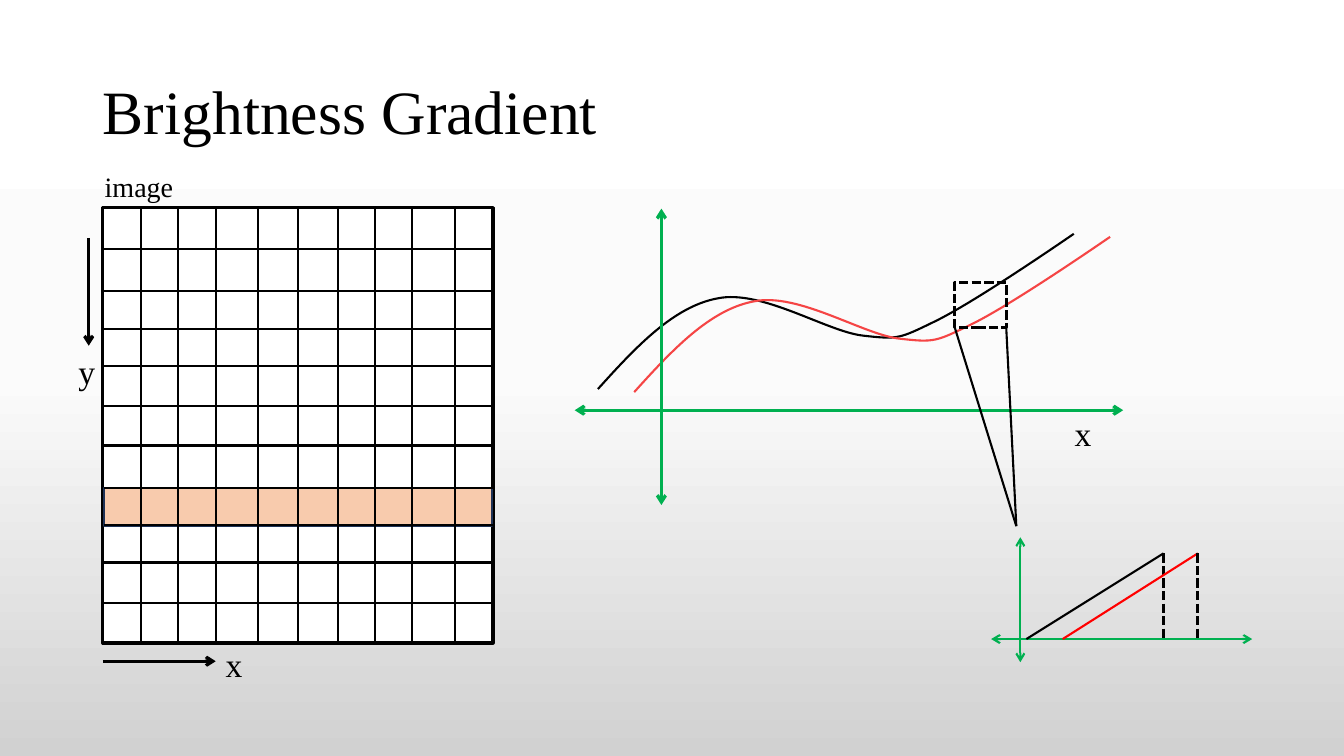
from copy import deepcopy
from dataclasses import dataclass

from lxml import etree
from pptx import Presentation
from pptx import util as u
from pptx.dml.color import RGBColor
from pptx.enum import dml, shapes, text
from pptx.oxml import ns


@dataclass(frozen=True)
class Theme:
    """Colours, type sizes and line widths of the deck."""
    font: str = "Times New Roman"
    ink: str = "000000"
    paper: str = "FFFFFF"
    row: str = "F8CBAD"
    row_edge: str = "1E3256"
    axis: str = "00B050"
    shifted: str = "F54545"
    shifted_line: str = "FF0000"
    backdrop: tuple = ((0, "FFFFFF"), (0.5, "FBFBFB"), (1, "D1D1D1"))
    title: int = 44
    caption: int = 20
    label: int = 24
    thin: float = 1.5
    thick: float = 2.25


THEME = Theme()


def rgb(code):
    """Turn a hex code into a colour."""
    return RGBColor.from_string(code)


def style_line(line, color, width, dashed=False):
    """Set the colour, width and dash of a line."""
    line.color.rgb = rgb(color)
    line.width = u.Pt(width)
    if dashed:
        line.dash_style = dml.MSO_LINE.SQUARE_DOT


def style_text(frame, words, size):
    """Write one paragraph in the theme font."""
    frame.text = words
    font = frame.paragraphs[0].runs[0].font
    font.name, font.size = THEME.font, u.Pt(size)
    font.color.rgb = rgb(THEME.ink)


def add_label(page, words, left, top, width, height, size=THEME.label):
    """Add a short text label."""
    box = page.shapes.add_textbox(*map(u.Inches, (left, top, width, height)))
    box.text_frame.word_wrap = True
    box.text_frame.auto_size = text.MSO_AUTO_SIZE.SHAPE_TO_FIT_TEXT
    style_text(box.text_frame, words, size)


def add_rect(page, left, top, width, height, fill, color, line_width, dashed=False):
    """Add a rectangle, left unfilled when fill is None."""
    rect = page.shapes.add_shape(shapes.MSO_SHAPE.RECTANGLE,
                                 *map(u.Inches, (left, top, width, height)))
    rect.shadow.inherit = False
    if fill:
        rect.fill.solid()
        rect.fill.fore_color.rgb = rgb(fill)
    else:
        rect.fill.background()
    style_line(rect.line, color, line_width, dashed)
    return rect


def add_line(page, x1, y1, x2, y2, color=THEME.ink, width=THEME.thin,
             arrows=(), dashed=False):
    """Add a straight line with arrowheads at the named ends."""
    line = page.shapes.add_connector(shapes.MSO_CONNECTOR.STRAIGHT,
                                     *map(u.Inches, (x1, y1, x2, y2)))
    style_line(line.line, color, width, dashed)
    for end in arrows:
        etree.SubElement(line.line._get_or_add_ln(), ns.qn(f"a:{end}"), type="arrow")
    etree.SubElement(line._element.spPr, ns.qn("a:effectLst"))
    return line


def add_curve(page, left, top, color):
    """Add the brightness profile, starting at left and top, as Bézier segments."""
    controls = ((0.37, -0.41), (0.75, -0.82), (1.19, -0.9), (1.63, -0.99),
                (2.27, -0.57), (2.63, -0.53), (2.98, -0.49), (2.99, -0.5),
                (3.34, -0.67), (3.69, -0.84), (4.4, -1.32), (4.72, -1.54))
    builder = page.shapes.build_freeform(u.Inches(left), u.Inches(top))
    builder.add_line_segments([(u.Inches(left + x), u.Inches(top + y))
                               for x, y in controls], close=False)
    curve = builder.convert_to_shape()
    outline = curve._element.xpath(".//a:path")[0]
    segments = outline.findall(ns.qn("a:lnTo"))
    for first in range(0, len(segments), 3):
        bend = etree.SubElement(outline, ns.qn("a:cubicBezTo"))
        for segment in segments[first:first + 3]:
            bend.append(segment[0])
            outline.remove(segment)
    curve.shadow.inherit = False
    curve.fill.background()
    style_line(curve.line, color, THEME.thin)


def add_axes(page, left, top, width, height, origin_x, origin_y, line_width):
    """Add two crossing axes with arrows at every end."""
    ends = ("headEnd", "tailEnd")
    x, y = left + origin_x, top + origin_y
    add_line(page, x, top, x, top + height, THEME.axis, line_width, ends)
    add_line(page, left, y, left + width, y, THEME.axis, line_width, ends)


def paint_background(page):
    """Fill the page with a vertical gradient."""
    fill = page.background.fill
    fill.gradient()
    fill.gradient_angle = 270
    stops = page._element.xpath(".//p:bg//a:gsLst")[0]
    stops.insert(1, deepcopy(stops[0]))
    for stop, (position, color) in zip(fill.gradient_stops, THEME.backdrop):
        stop.position = position
        stop.color.rgb = rgb(color)


def add_title(page, left, top, width, height):
    """Place and format the title."""
    title = page.shapes.title
    title.left, title.top, title.width, title.height = map(
        u.Inches, (left, top, width, height))
    frame = title.text_frame
    style_text(frame, "Brightness Gradient", THEME.title)
    frame.auto_size = text.MSO_AUTO_SIZE.NONE
    frame.vertical_anchor = text.MSO_ANCHOR.MIDDLE
    frame.paragraphs[0].alignment = text.PP_ALIGN.LEFT
    frame.paragraphs[0].line_spacing = 0.9


def add_image_grid(page, left, top, width, height):
    """Draw the pixel grid with one marked row and its direction arrows."""
    columns = ((0.38, 0), (0.75, 0.01), (1.12, 0.01), (1.54, 0.01),
               (2.33, 0), (2.7, 0.01), (3.07, 0.01), (3.49, 0.01))
    rows = ((0.41, 0.01), (0.83, 0.01), (1.2, 0.01), (1.57, 0), (1.97, 0),
            (2.36, 0.01), (2.78, 0.01), (3.15, 0.01), (3.52, 0), (3.92, 0))
    image = add_rect(page, left, top, width, height, THEME.paper, THEME.ink, THEME.thick)
    add_rect(page, left + 0.01, top + 2.78, width - 0.02, 0.38,
             THEME.row, THEME.row_edge, 1)
    add_label(page, "image", left - 0.08, top - 0.43, 1.8, 0.44, THEME.caption)
    arrow = dict(width=THEME.thick, arrows=("tailEnd",))
    add_line(page, left - 0.14, top + 0.3, left - 0.14, top + 1.37, **arrow)
    add_line(page, left, top + 4.5, left + 1.12, top + 4.5, **arrow)
    add_label(page, "x", left + 1.12, top + 4.28, 0.59, 0.5)
    add_label(page, "y", left - 0.34, top + 1.37, 1.8, 0.5)
    middle = add_line(page, left + width / 2, top, left + width / 2, top + height)
    middle.begin_connect(image, 0)
    middle.end_connect(image, 2)
    for x, shift in columns:
        add_line(page, left + x, top + shift, left + x, top + height + shift)
    for y, shift in rows:
        start = left + shift
        add_line(page, start, top + y, start + width - 0.01, top + y)


def add_profile_plot(page, left, top, width, height):
    """Draw the two brightness profiles and the magnified window."""
    add_curve(page, left + 0.23, top + 1.79, THEME.ink)
    add_curve(page, left + 0.59, top + 1.82, THEME.shifted)
    add_axes(page, left, top, width, height, 0.86, 2, THEME.thick)
    add_label(page, "x", left + 4.86, top + 1.98, 0.59, 0.5)
    x, y, side, depth = left + 3.77, top + 0.73, 0.51, 0.45
    add_rect(page, x, y, side, depth, None, THEME.ink, THEME.thick, dashed=True)
    for corner in (x, x + side):
        add_line(page, corner, y + depth, left + 4.38, top + 3.15)


def add_detail_plot(page, left, top, width, height):
    """Draw the magnified pair of straight profiles."""
    base = top + 1.01
    add_axes(page, left, top, width, height, 0.29, 1.01, THEME.thin)
    for start, end, color in ((0.35, 1.71, THEME.ink), (0.71, 2.05, THEME.shifted_line)):
        add_line(page, left + end, top + 0.16, left + start, base, color)
        add_line(page, left + end, top + 0.16, left + end, base,
                 width=THEME.thick, dashed=True)


def main():
    """Build and save the slide."""
    deck = Presentation()
    deck.slide_width, deck.slide_height = u.Inches(13.33), u.Inches(7.5)
    page = deck.slides.add_slide(deck.slide_layouts[5])
    paint_background(page)
    add_title(page, 0.92, 0.41, 11.5, 1.45)
    add_image_grid(page, 1.02, 2.06, 3.87, 4.32)
    add_profile_plot(page, 5.7, 2.07, 5.44, 2.94)
    add_detail_plot(page, 9.83, 5.33, 2.59, 1.24)
    deck.save("out.pptx")


if __name__ == "__main__":
    main()
